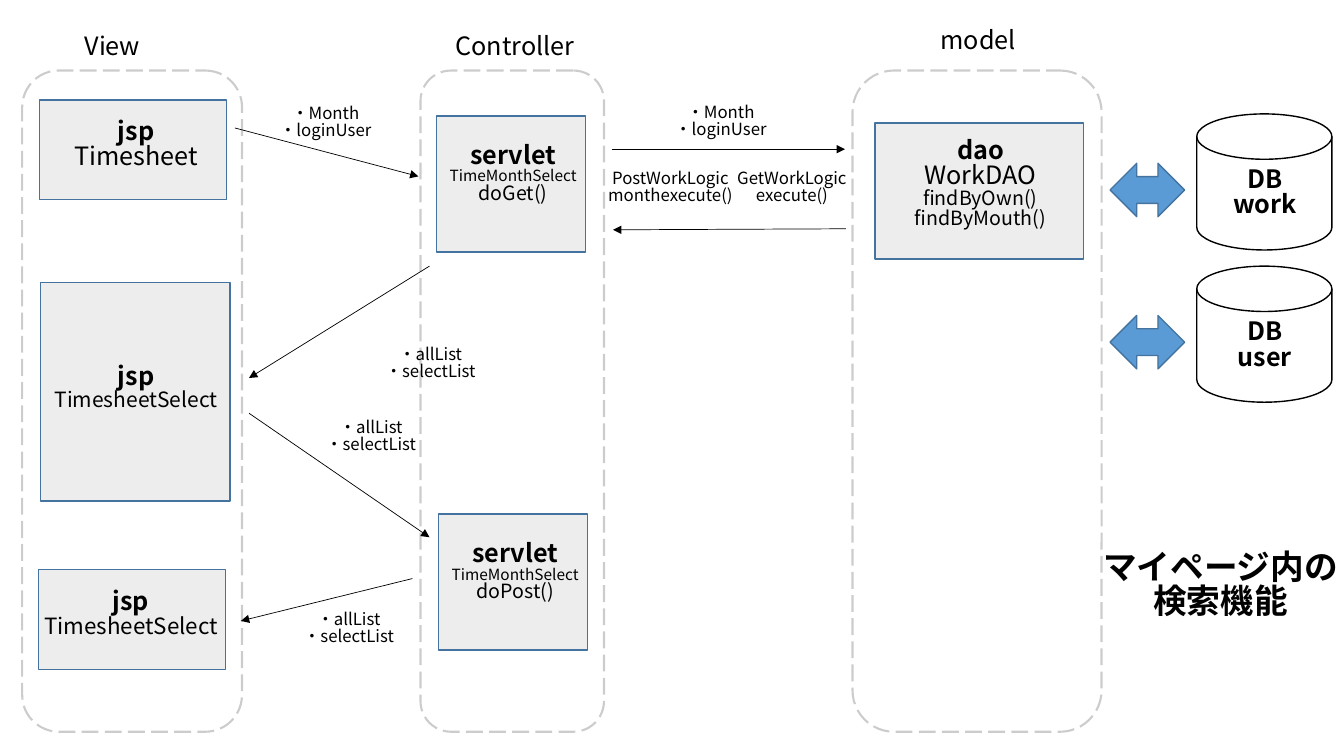
from lxml import etree
from pptx import Presentation
from pptx.dml.color import RGBColor
from pptx.enum.dml import MSO_LINE
from pptx.enum.shapes import MSO_CONNECTOR, MSO_SHAPE
from pptx.enum.text import MSO_ANCHOR, MSO_AUTO_SIZE, PP_ALIGN
from pptx.oxml.ns import qn
from pptx.util import Inches, Pt

LANE = MSO_SHAPE.FLOWCHART_ALTERNATE_PROCESS
DISK = MSO_SHAPE.FLOWCHART_MAGNETIC_DISK
RECT = MSO_SHAPE.RECTANGLE
TWO_WAY = MSO_SHAPE.LEFT_RIGHT_ARROW
STRAIGHT = MSO_CONNECTOR.STRAIGHT
LONG_DASH = MSO_LINE.LONG_DASH
TOP = MSO_ANCHOR.TOP
GROW = MSO_AUTO_SIZE.SHAPE_TO_FIT_TEXT
LEFT, CENTER = PP_ALIGN.LEFT, PP_ALIGN.CENTER

COLORS = {"ink": "000000", "paper": "FFFFFF", "box": "EDEDED",
          "arrow": "5B9BD5", "edge": "43739E"}
FONT = "Noto Sans CJK JP"
LINE_SPACING = 0.84


def rgb(name):
    """Return a named colour."""
    return RGBColor.from_string(COLORS[name])


def inches(values):
    """Convert a sequence of numbers to lengths."""
    return [Inches(v) for v in values]


def write(tf, lines, size=18, bold=False, align=CENTER):
    """Fill a text frame; a line is text or (text, size, bold)."""
    tf.word_wrap = True
    tf.auto_size = GROW
    tf.vertical_anchor = TOP
    for i, line in enumerate(lines):
        text, pt, heavy = (line, size, bold) if isinstance(line, str) else line
        p = tf.add_paragraph() if i else tf.paragraphs[0]
        p.text = text
        p.alignment = align
        p.line_spacing = LINE_SPACING
        for r in p.runs:
            r.font.name = FONT
            r.font.size = Pt(pt)
            r.font.bold = heavy
            r.font.color.rgb = rgb("ink")
            latin = r.font._element.find(qn("a:latin"))
            ea = etree.Element(qn("a:ea"), typeface=FONT)
            latin.addnext(ea)


class Diagram:
    """Holds the current slide and draws its elements in one style."""

    def __init__(self, s):
        """Start on a slide."""
        self.s = s

    def title(self, at, lines):
        """Place and fill the title placeholder."""
        sp = self.s.shapes.title
        sp.left, sp.top, sp.width, sp.height = inches(at)
        write(sp.text_frame, lines, size=24, bold=True)

    def shape(self, kind, at, fill=None, line="edge", width=1, parent=None):
        """Add a preset shape to the slide or to a group."""
        sp = (parent or self.s).shapes.add_shape(kind, *inches(at))
        sp.shadow.inherit = False
        if fill:
            sp.fill.solid()
            sp.fill.fore_color.rgb = rgb(fill)
        else:
            sp.fill.background()
        sp.line.color.rgb = rgb(line)
        sp.line.width = Pt(width)
        return sp

    def text(self, at, lines, parent=None, **style):
        """Add a text box to the slide or to a group."""
        sp = (parent or self.s).shapes.add_textbox(*inches(at))
        write(sp.text_frame, lines, **style)

    def node(self, kind, at, text_at, lines, fill="box", line="edge"):
        """Group a shape with its caption."""
        group = self.s.shapes.add_group_shape()
        self.shape(kind, at, fill, line, parent=group)
        self.text(text_at, lines, parent=group)

    def lane(self, center_x, width):
        """Add a faint dashed lane, turned upright."""
        length, center_y = 6.56, 3.98
        at = (center_x - length / 2, center_y - width / 2, length, width)
        sp = self.shape(LANE, at, line="ink", width=1.5)
        sp.rotation = 90
        sp.line.dash_style = LONG_DASH
        color = sp.line._ln.find(".//" + qn("a:srgbClr"))
        etree.SubElement(color, qn("a:alpha"), val="20000")

    def arrow(self, start, end):
        """Add a thin line with an arrowhead at its end."""
        cn = self.s.shapes.add_connector(STRAIGHT, *inches(start + end))
        cn.line.color.rgb = rgb("ink")
        cn.line.width = Pt(0.5)
        etree.SubElement(cn.line._ln, qn("a:tailEnd"), type="triangle")
        etree.SubElement(cn._element.spPr, qn("a:effectLst"))


def main():
    """Build the slide and save it."""
    prs = Presentation()
    prs.slide_width, prs.slide_height = inches((13.33, 7.5))
    d = Diagram(prs.slides.add_slide(prs.slide_layouts[5]))
    d.title((10.47, 5.43, 3.27, 0.91), ["マイページ内の", "検索機能"])

    lanes = [("View", 1.31, 2.18, (0.74, 0.3, 0.87, 0.4)),
             ("Controller", 5.08, 1.82, (4.42, 0.3, 1.57, 0.4)),
             ("model", 9.69, 2.47, (9.23, 0.24, 0.98, 0.4))]
    for name, center_x, width, label_at in lanes:
        d.lane(center_x, width)
        d.text(label_at, [name], align=LEFT)

    for name, top in (("work", 1.13), ("user", 2.64)):
        d.node(DISK, (11.87, top, 1.34, 1.35), (12.04, top + 0.49, 1.01, 0.71),
               [("DB", 18, True), (name, 18, True)], "paper", "ink")
        d.shape(TWO_WAY, (11.01, top + 0.49, 0.74, 0.53), "arrow")

    d.node(RECT, (8.68, 1.22, 2.07, 1.35), (8.71, 1.33, 2.03, 1.41),
           [("dao", 18, True), "WorkDAO",
            ("findByOwn()", 14, False), ("findByMouth()", 14, False)])

    for method, left, top in (("doGet()", 4.33, 1.15), ("doPost()", 4.35, 5.1)):
        d.node(RECT, (left, top, 1.48, 1.35),
               (left + 0.02, top + 0.23, 1.48, 0.82),
               [("servlet", 18, True), ("TimeMonthSelect", 11, False),
                (method, 14, False)])

    pages = [
        ("Timesheet", 18, (0.39, 0.99, 1.86, 0.99), (0.42, 1.14, 1.86, 0.61)),
        ("TimesheetSelect", 15, (0.4, 2.8, 1.88, 2.17), (0.41, 3.57, 1.88, 0.66)),
        ("TimesheetSelect", 16, (0.38, 5.65, 1.86, 0.99), (0.33, 5.81, 1.94, 0.67)),
    ]
    for name, size, at, text_at in pages:
        d.node(RECT, at, text_at, [("jsp", 18, True), (name, size, False)])

    arrows = [((2.33, 1.27), (4.15, 1.75)), ((6.07, 1.48), (8.38, 1.48)),
              ((8.39, 2.27), (6.08, 2.28)), ((4.26, 2.64), (2.47, 3.75)),
              ((2.47, 4.1), (4.26, 5.33)), ((4.09, 5.74), (2.39, 6.16))]
    for start, end in arrows:
        d.arrow(start, end)

    request = ["・Month\v・loginUser"]
    result = ["・allList", "・selectList"]
    labels = [(2.38, 1, 1.7, request), (6.3, 0.99, 1.7, request),
              (3.42, 3.39, 1.7, result), (2.83, 4.12, 1.7, result),
              (2.61, 6.02, 1.7, result),
              (5.8, 1.65, 1.7, ["PostWorkLogic", "monthexecute()"]),
              (7.09, 1.65, 1.53, ["GetWorkLogic", "execute()"])]
    for left, top, width, lines in labels:
        d.text((left, top, width, 0.5), lines, size=12)

    prs.save("out.pptx")


main()
